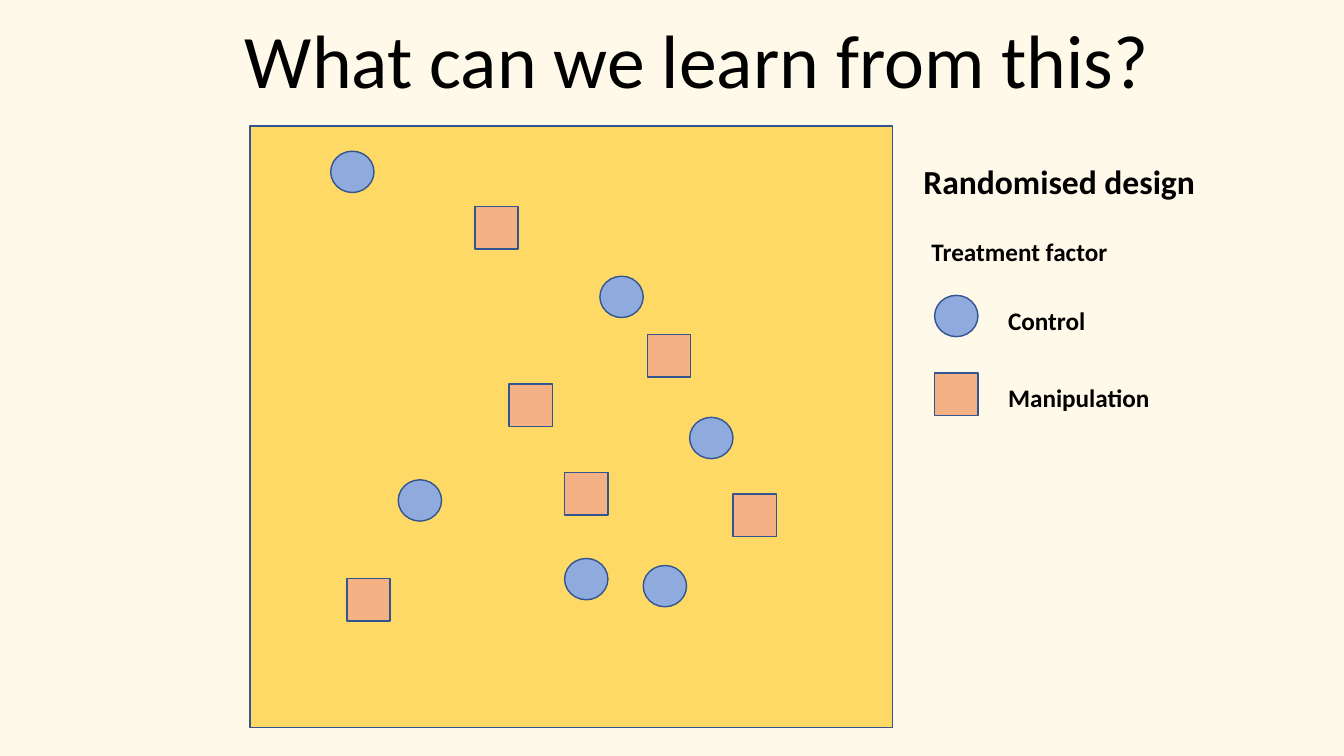
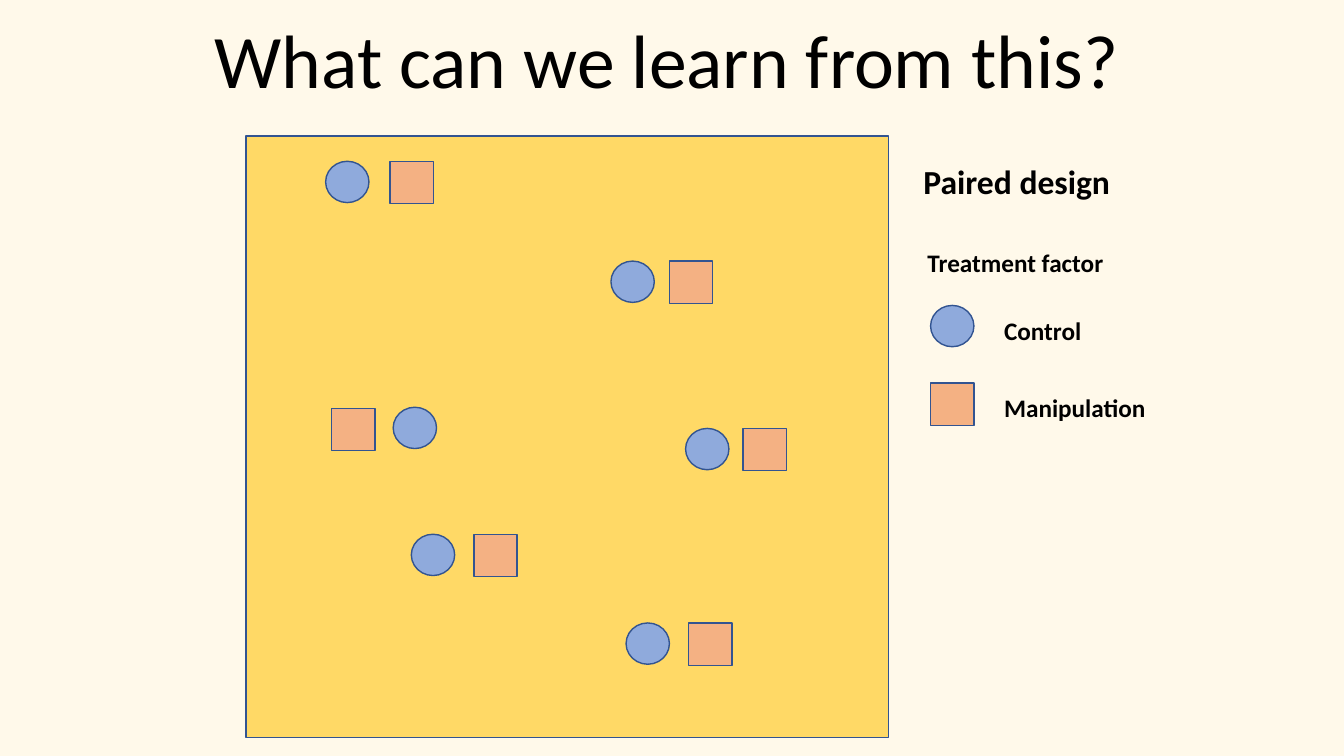
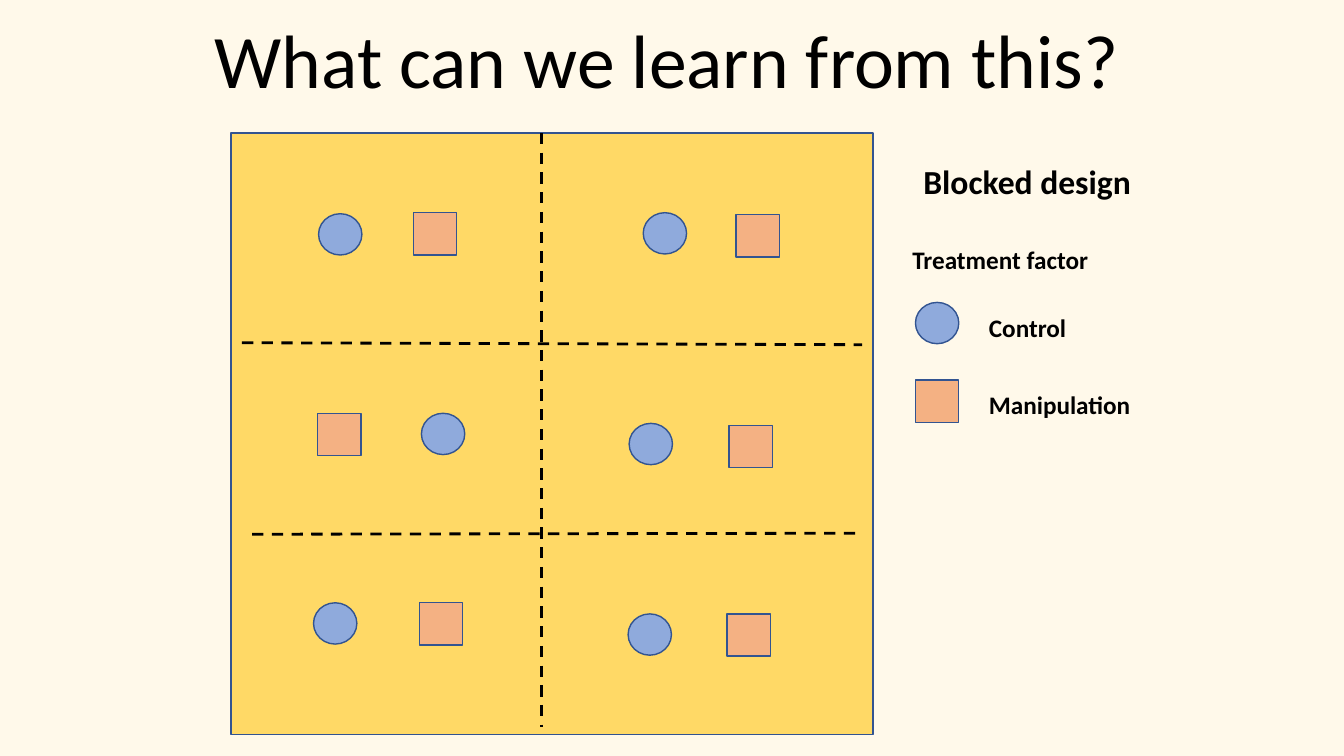
from dataclasses import dataclass
from typing import NamedTuple

from lxml.etree import SubElement
from pptx import Presentation
from pptx.dml.color import RGBColor
from pptx.enum.dml import MSO_LINE
from pptx.enum.shapes import MSO_CONNECTOR, MSO_SHAPE
from pptx.enum.text import MSO_AUTO_SIZE
from pptx.oxml.ns import qn
from pptx.slide import Slide
from pptx.util import Inches, Pt


@dataclass(frozen=True)
class Theme:
    font: str = "Calibri"
    paper: str = "FFF9EA"
    ink: str = "000000"
    edge: str = "325491"
    field: str = "FFD966"
    blue: str = "8FAADC"
    peach: str = "F4B183"
    title: int = 54
    head: int = 24
    label: int = 18
    thin: int = 1
    thick: int = 2


class Point(NamedTuple):
    x: float
    y: float


class Mark(NamedTuple):
    form: MSO_SHAPE
    fill: str
    width: float
    height: float


class Dash(NamedTuple):
    start: Point
    end: Point


@dataclass(frozen=True)
class Design:
    name: str
    width: float
    left: float
    field: Point
    rounds: tuple[Point, ...]
    squares: tuple[Point, ...]
    cuts: tuple[Dash, ...] = ()


THEME = Theme()
FIELD = Mark(MSO_SHAPE.RECTANGLE, THEME.field, 6.37, 5.97)
ROUND = Mark(MSO_SHAPE.OVAL, THEME.blue, 0.43, 0.41)
SQUARE = Mark(MSO_SHAPE.RECTANGLE, THEME.peach, 0.43, 0.42)

DESIGNS = (
    Design(
        "Randomised design", 2.92, 2.33, Point(2.48, 1.25),
        rounds=(Point(3.28, 1.5), Point(3.95, 4.76), Point(5.6, 5.54),
                Point(5.95, 2.74), Point(6.84, 4.14), Point(6.38, 5.61)),
        squares=(Point(5.05, 3.81), Point(4.71, 2.05), Point(6.42, 3.32),
                 Point(5.6, 4.69), Point(3.44, 5.74), Point(7.27, 4.9)),
    ),
    Design(
        "Paired design", 2.07, 2.03, Point(2.44, 1.35),
        rounds=(Point(3.23, 1.6), Point(3.9, 4.04), Point(4.08, 5.3),
                Point(6.06, 2.59), Point(6.8, 4.25), Point(6.21, 6.18)),
        squares=(Point(3.87, 1.6), Point(3.29, 4.05), Point(4.7, 5.3),
                 Point(6.64, 2.59), Point(7.37, 4.25), Point(6.83, 6.18)),
    ),
    Design(
        "Blocked design", 2.28, 2.03, Point(2.29, 1.32),
        rounds=(Point(3.16, 2.12), Point(4.18, 4.1), Point(3.11, 5.98),
                Point(6.38, 2.11), Point(6.24, 4.2), Point(6.23, 6.09)),
        squares=(Point(4.1, 2.11), Point(3.15, 4.1), Point(4.16, 5.98),
                 Point(7.3, 2.13), Point(7.23, 4.22), Point(7.21, 6.09)),
        cuts=(Dash(Point(5.37, 1.32), Point(5.37, 7.21)),
              Dash(Point(2.4, 3.4), Point(8.55, 3.42)),
              Dash(Point(2.5, 5.3), Point(8.55, 5.29))),
    ),
)


def shift(base: Point, x: float, y: float) -> Point:
    return Point(base.x + x, base.y + y)


def draw_mark(slide: Slide, mark: Mark, at: Point) -> None:
    shape = slide.shapes.add_shape(
        mark.form, Inches(at.x), Inches(at.y),
        Inches(mark.width), Inches(mark.height))
    shape.shadow.inherit = False
    shape.fill.solid()
    shape.fill.fore_color.rgb = RGBColor.from_string(mark.fill)
    shape.line.color.rgb = RGBColor.from_string(THEME.edge)
    shape.line.width = Pt(THEME.thin)


def draw_dash(slide: Slide, dash: Dash) -> None:
    line = slide.shapes.add_connector(
        MSO_CONNECTOR.STRAIGHT, Inches(dash.start.x), Inches(dash.start.y),
        Inches(dash.end.x), Inches(dash.end.y))
    line.line.color.rgb = RGBColor.from_string(THEME.ink)
    line.line.width = Pt(THEME.thick)
    line.line.dash_style = MSO_LINE.DASH
    SubElement(line._element.spPr, qn("a:effectLst"))


def write(slide: Slide, text: str, at: Point, *, width: float, height: float = 0.4,
          size: int = THEME.label, bold: bool = True) -> None:
    box = slide.shapes.add_textbox(
        Inches(at.x), Inches(at.y), Inches(width), Inches(height))
    frame = box.text_frame
    frame.word_wrap = False
    frame.auto_size = MSO_AUTO_SIZE.SHAPE_TO_FIT_TEXT
    frame.text = text
    font = frame.paragraphs[0].runs[0].font
    font.name = THEME.font
    font.size = Pt(size)
    font.bold = bold
    font.color.rgb = RGBColor.from_string(THEME.ink)


def draw_key(slide: Slide, field: Point) -> None:
    write(slide, "Treatment factor", shift(field, 6.66, 1.05), width=1.96)
    draw_mark(slide, ROUND, shift(field, 6.79, 1.68))
    write(slide, "Control", shift(field, 7.42, 1.73), width=0.97)
    draw_mark(slide, SQUARE, shift(field, 6.79, 2.45))
    write(slide, "Manipulation", shift(field, 7.42, 2.49), width=1.62)


def draw_slide(slide: Slide, design: Design) -> None:
    draw_mark(slide, FIELD, design.field)
    draw_key(slide, design.field)
    for mark, spots in ((ROUND, design.rounds), (SQUARE, design.squares)):
        for spot in spots:
            draw_mark(slide, mark, spot)
    for cut in design.cuts:
        draw_dash(slide, cut)
    write(slide, "What can we learn from this?", Point(design.left, 0.08),
          width=9.27, height=1.01, size=THEME.title, bold=False)
    write(slide, design.name, Point(9.06, 1.55),
          width=design.width, height=0.5, size=THEME.head)


def main() -> None:
    deck = Presentation()
    deck.slide_width = Inches(13.33)
    deck.slide_height = Inches(7.5)
    paper = deck.slide_master.background.fill
    paper.solid()
    paper.fore_color.rgb = RGBColor.from_string(THEME.paper)
    for design in DESIGNS:
        draw_slide(deck.slides.add_slide(deck.slide_layouts[6]), design)
    deck.save("out.pptx")


if __name__ == "__main__":
    main()
